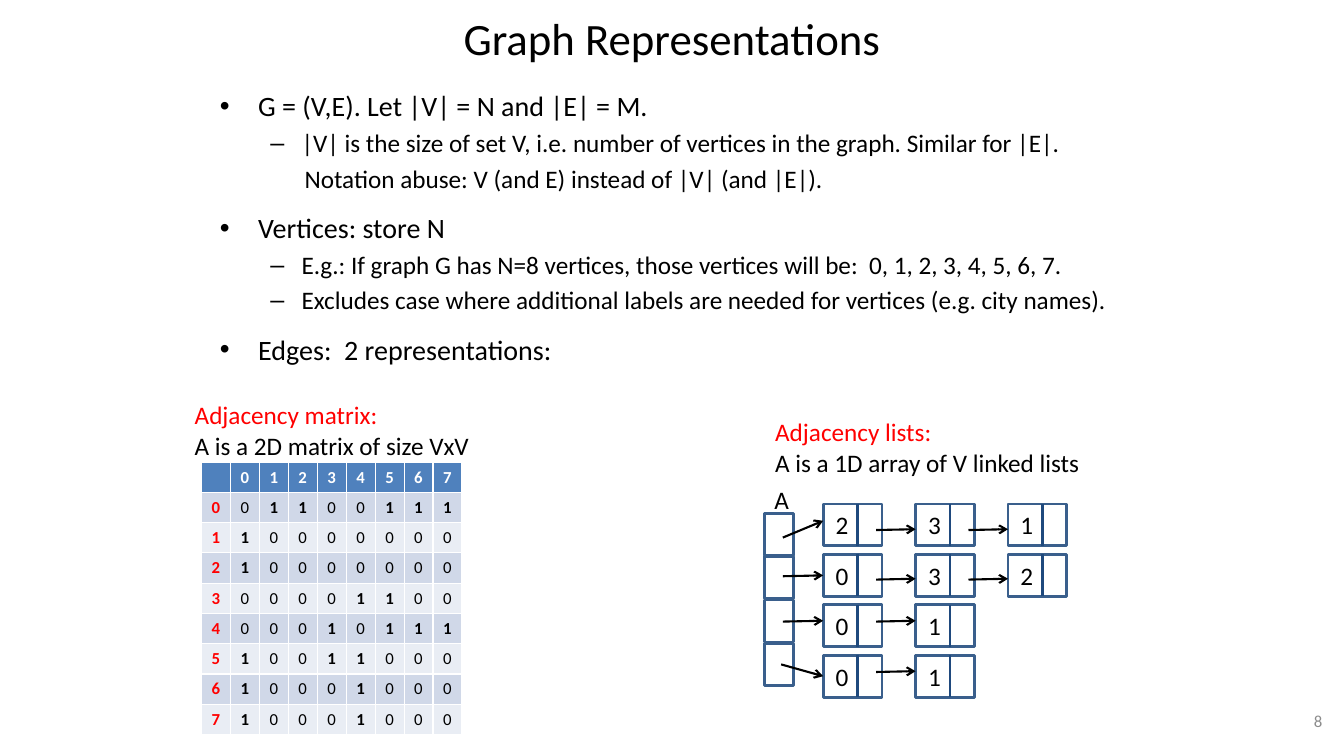
from lxml.etree import SubElement
from pptx import Presentation
from pptx.dml.color import RGBColor
from pptx.enum.shapes import MSO_CONNECTOR, MSO_SHAPE
from pptx.enum.text import MSO_ANCHOR, PP_ALIGN
from pptx.oxml.ns import qn
from pptx.util import Inches, Pt

WIDE, HIGH = Inches(13.333), Inches(7.5)
COLS, ROWS = 160, 90

POINTS = [
    ("•", "G = (V,E). Let |V| = N and |E| = M.", 0),
    ("–", "|V| is the size of set V, i.e. number of vertices in the graph. Similar for |E|.", 3.6),
    ("", "Notation abuse: V (and E) instead of |V| (and |E|).", 3.6),
    ("•", "Vertices: store N", 12.5),
    ("–", "E.g.: If graph G has N=8 vertices, those vertices will be:  0, 1, 2, 3, 4, 5, 6, 7.", 3.6),
    ("–", "Excludes case where additional labels are needed for vertices (e.g. city names).", 3.6),
    ("•", "Edges:  2 representations:", 12.5),
]
LEVELS = {"•": (20, 0.38, -0.38), "–": (18, 0.81, -0.31), "": (18, 0.84, 0)}
MATRIX = ["01100111", "10000000", "10000000", "00001100",
          "00010111", "10011000", "10001000", "10001000"]
LISTS = ["231", "032", "01", "01"]
HEADS = [(2.2, 4, 2), (2.2, 8.6, 8.5), (2.2, 14, 13.9), (2, 19.1, 20.5)]
JOINS = [3.1, 3, 2, 2]


def ink(code):
    return RGBColor.from_string(code)


def across(n):
    return round(n * WIDE / COLS)


def down(n):
    return round(n * HIGH / ROWS)


def place(box):
    x, y, w, h = box
    return across(x), down(y), across(w), down(h)


def put(thing, vals):
    for name, val in vals.items():
        setattr(thing, name, val)


def style(font, size, code="000000", bold=False):
    put(font, {"name": "Calibri", "size": Pt(size), "bold": bold})
    font.color.rgb = ink(code)


def write(slide, box, lines, size, align=PP_ALIGN.LEFT, anchor=MSO_ANCHOR.TOP, wrap=False):
    frame = slide.shapes.add_textbox(*place(box)).text_frame
    put(frame, {"word_wrap": wrap, "vertical_anchor": anchor})
    for i, (text, code) in enumerate(lines):
        para = frame.add_paragraph() if i else frame.paragraphs[0]
        put(para, {"text": text, "alignment": align})
        style(para.runs[0].font, size, code)


def stroke(slide, start, end, code, width, arrow=False):
    (x1, y1), (x2, y2) = start, end
    line = slide.shapes.add_connector(
        MSO_CONNECTOR.STRAIGHT, across(x1), down(y1), across(x2), down(y2))
    line.line.color.rgb = ink(code)
    line.line.width = Pt(width)
    if arrow:
        SubElement(line.line._get_or_add_ln(), qn("a:tailEnd"), type="arrow")
    SubElement(line._element.spPr, qn("a:effectLst"))


def frame_box(slide, box):
    rect = slide.shapes.add_shape(MSO_SHAPE.RECTANGLE, *place(box))
    rect.shadow.inherit = False
    rect.fill.background()
    rect.line.color.rgb = ink("3A5F8C")
    rect.line.width = Pt(2)


def bullets(slide, box):
    frame = slide.shapes.add_textbox(*place(box)).text_frame
    frame.word_wrap = True
    for i, (mark, text, gap) in enumerate(POINTS):
        size, left, hang = LEVELS[mark]
        para = frame.add_paragraph() if i else frame.paragraphs[0]
        para.text = text
        if gap:
            para.space_before = Pt(gap)
        props = para._p.get_or_add_pPr()
        props.set("marL", str(Inches(left)))
        props.set("indent", str(Inches(hang)))
        if mark:
            SubElement(props, qn("a:buFont"), typeface="Arial")
            SubElement(props, qn("a:buChar"), char=mark)
        else:
            SubElement(props, qn("a:buNone"))
        style(para.runs[0].font, size)


def matrix(slide, box):
    x, y, w, h = box
    write(slide, (x - 2, y - 8, 35.5, 8.5),
          [("Adjacency matrix:", "FF0000"), ("A is a 2D matrix of size VxV", "000000")], 18)
    count = len(MATRIX) + 1
    grid = slide.shapes.add_table(count, count, *place(box)).table
    for col in grid.columns:
        col.width = across(w / count)
    for row in grid.rows:
        row.height = down(h / count)
    names = "".join(str(i) for i in range(len(MATRIX)))
    rows = [" " + names] + [name + row for name, row in zip(names, MATRIX)]
    for r, row in enumerate(rows):
        for c, mark in enumerate(row):
            cell = grid.cell(r, c)
            cell.fill.solid()
            cell.fill.fore_color.rgb = ink("4F81BD" if r == 0 else "D0D8E8" if r % 2 else "E9EDF4")
            cell.text = mark.strip()
            code = "FFFFFF" if r == 0 else "FF0000" if c == 0 else "000000"
            bold = r == 0 or c == 0 or mark == "1"
            style(cell.text_frame.paragraphs[0].font, 12, code, bold)


def node(slide, box, mark):
    x, y, w, h = box
    frame_box(slide, box)
    stroke(slide, (x + 4.1, y), (x + 4.1, y + h), "1F497D", 1.75)
    write(slide, (x + 0.3, y + 0.1, 4, 4.8), [(mark, "000000")], 18)


def lists(slide, box):
    x, y, w, h = box
    write(slide, (x + 0.1, y - 11, w, 8.5),
          [("Adjacency lists:", "FF0000"), ("A is a 1D array of V linked lists", "000000")], 18)
    write(slide, (x, y - 2.9, 4.2, 4.8), [("A", "000000")], 18)
    for r, (marks, head, join) in enumerate(zip(LISTS, HEADS, JOINS)):
        frame_box(slide, (x, y + 1.1 + 5.17 * r, 3.5, 5))
        top = y + 6 * r
        for c, mark in enumerate(marks):
            left = x + 7 + 11 * c
            node(slide, (left, top, 7, 5), mark)
            if c:
                stroke(slide, (left - 4.7, top + join), (left, top + join - 0.1),
                       "000000", 1.5, True)
        dx, start, end = head
        stroke(slide, (x + dx, y + start), (x + 7, y + end), "000000", 1.5, True)


def main():
    deck = Presentation()
    put(deck, {"slide_width": WIDE, "slide_height": HIGH})
    slide = deck.slides.add_slide(deck.slide_layouts[6])
    write(slide, (26, 0, 108, 9), [("Graph Representations", "000000")], 32,
          PP_ALIGN.CENTER, MSO_ANCHOR.MIDDLE, True)
    bullets(slide, (25, 10, 111, 35))
    matrix(slide, (24, 55, 31, 31.5))
    lists(slide, (91, 60, 39, 23))
    write(slide, (121.3, 83.4, 37.3, 4.8), [("8", "8C8C8C")], 12,
          PP_ALIGN.RIGHT, MSO_ANCHOR.MIDDLE, True)
    deck.save("out.pptx")


if __name__ == "__main__":
    main()
